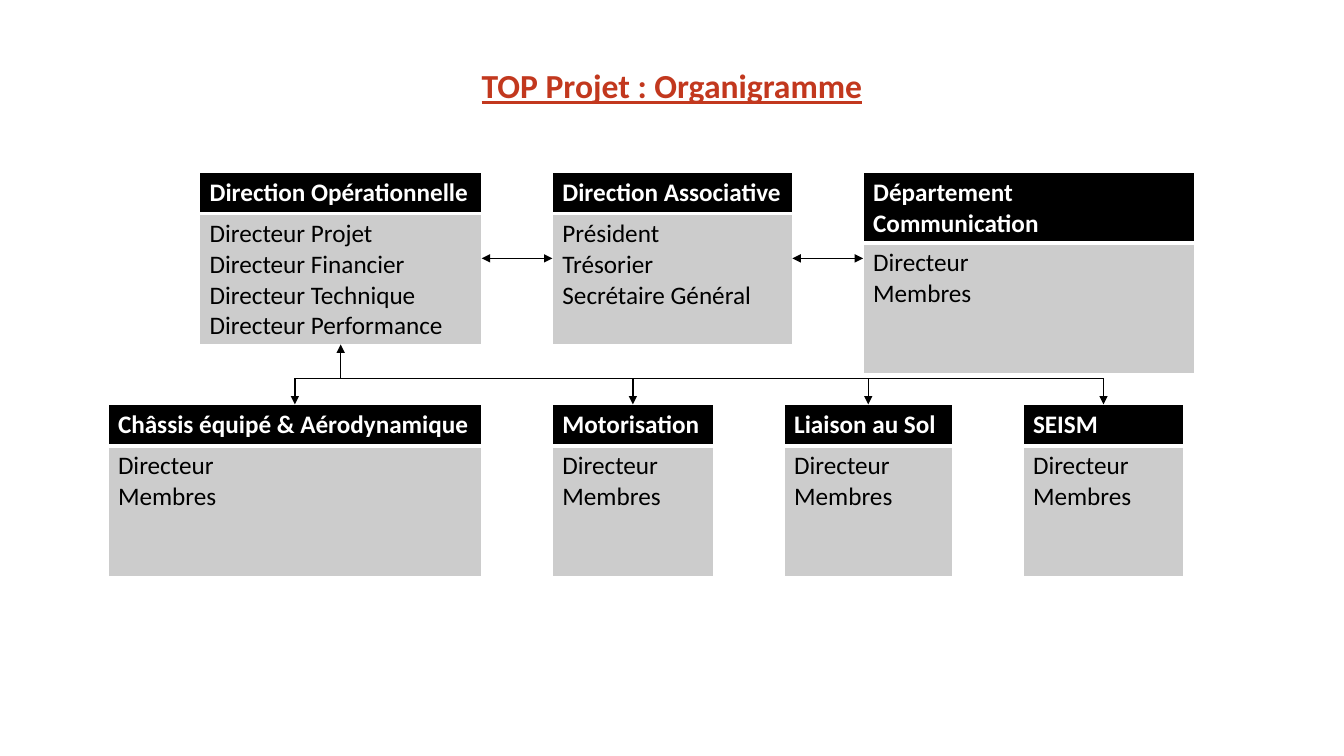
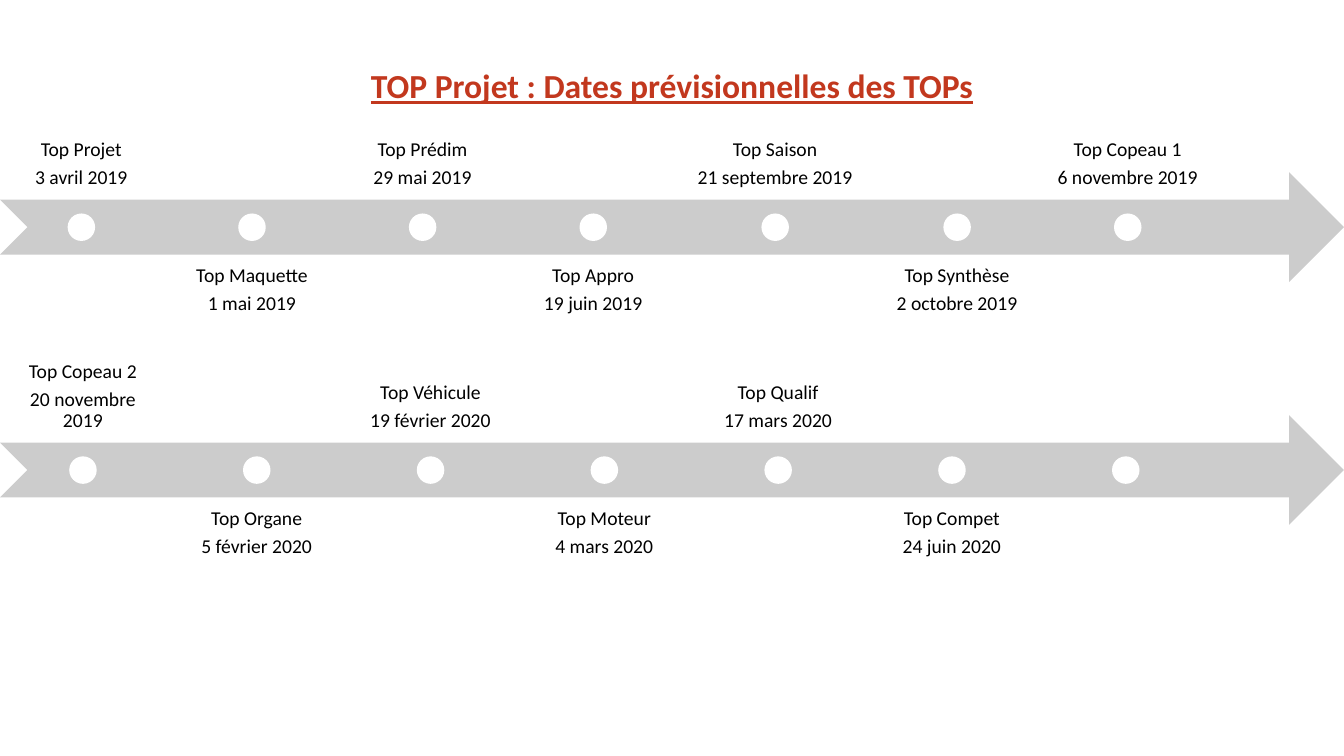
from dataclasses import dataclass

from lxml.etree import SubElement
from pptx import Presentation
from pptx.dml.color import RGBColor
from pptx.enum.shapes import MSO_CONNECTOR, MSO_SHAPE
from pptx.enum.text import MSO_ANCHOR, MSO_AUTO_SIZE, PP_ALIGN
from pptx.oxml.ns import qn
from pptx.presentation import Presentation as Deck
from pptx.shapes.autoshape import Shape
from pptx.slide import Slide
from pptx.table import _Cell as Cell
from pptx.text.text import _Paragraph as Paragraph
from pptx.util import Cm, Pt


@dataclass(frozen=True)
class Theme:
    font: str = "Calibri"
    accent: str = "C2381E"
    dark: str = "000000"
    light: str = "FFFFFF"
    band: str = "CCCCCC"
    title_size: int = 24
    box_size: int = 18
    label_size: int = 14


@dataclass(frozen=True)
class Team:
    name: str
    roles: tuple[str, ...]
    width: float
    header_height: float = 1.04


@dataclass(frozen=True)
class PlacedTeam:
    team: Team
    left: float

    @property
    def right(self) -> float:
        return self.left + self.team.width

    @property
    def center(self) -> float:
        return self.left + self.team.width / 2


@dataclass(frozen=True)
class Milestone:
    name: str
    date: str
    width: float


THEME = Theme()
SLIDE_WIDTH, SLIDE_HEIGHT = 33.87, 19.05

# Organisation chart, in centimetres
TEAM_GAP = 1.78
TEAM_HEIGHT = 4.34
BODY_HEIGHT = 3.3
DIRECTION_LEFT, DIRECTION_TOP = 5.03, 4.34
DEPARTMENT_LEFT, DEPARTMENT_TOP = 2.72, 10.19
BUS_TOP = 9.53

MEMBERS = ("Directeur", "Membres")
DIRECTIONS = (
    Team(
        "Direction Opérationnelle",
        ("Directeur Projet", "Directeur Financier", "Directeur Technique", "Directeur Performance"),
        7.11,
    ),
    Team("Direction Associative", ("Président", "Trésorier", "Secrétaire Général"), 6.05),
    Team("Département\nCommunication", MEMBERS, 8.36, header_height=1.78),
)
DEPARTMENTS = (
    Team("Châssis équipé & Aérodynamique", MEMBERS, 9.42),
    Team("Motorisation", MEMBERS, 4.06),
    Team("Liaison au Sol", MEMBERS, 4.24),
    Team("SEISM", MEMBERS, 4.06),
)

# Timelines, in centimetres
ARROW_HEIGHT = 2.77
DOT_SIZE = ARROW_HEIGHT / 4
LABEL_GAP = 0.2
LABEL_INSET = 0.27
SEASON_START_TOP, SEASON_END_TOP = 4.34, 10.46

SEASON_START = (
    Milestone("Top Projet", "3 avril 2019", 4.1),
    Milestone("Top Maquette", "1 mai 2019", 4.1),
    Milestone("Top Prédim", "29 mai 2019", 4.1),
    Milestone("Top Appro", "19 juin 2019", 4.1),
    Milestone("Top Saison", "21 septembre 2019", 4.67),
    Milestone("Top Synthèse", "2 octobre 2019", 4.1),
    Milestone("Top Copeau 1", "6 novembre 2019", 4.1),
)
SEASON_END = (
    Milestone("Top Copeau 2", "20 novembre 2019", 4.18),
    Milestone("Top Organe", "5 février 2020", 4.18),
    Milestone("Top Véhicule", "19 février 2020", 4.18),
    Milestone("Top Moteur", "4 mars 2020", 4.18),
    Milestone("Top Qualif", "17 mars 2020", 4.18),
    Milestone("Top Compet", "24 juin 2020", 4.18),
    Milestone("", "", 4.18),
)


def color(value: str) -> RGBColor:
    return RGBColor.from_string(value)


def format_runs(para: Paragraph, size: int, ink: str, bold: bool = False) -> None:
    for span in para.runs:
        span.font.name = THEME.font
        span.font.size = Pt(size)
        span.font.bold = bold
        span.font.color.rgb = color(ink)


def add_titled_slide(deck: Deck, text: str) -> Slide:
    page = deck.slides.add_slide(deck.slide_layouts[5])
    title = page.shapes.title
    title.left, title.top = Cm(0), Cm(1.52)
    title.width, title.height = Cm(SLIDE_WIDTH), Cm(1.27)
    title.text_frame.text = text
    title.text_frame.auto_size = MSO_AUTO_SIZE.SHAPE_TO_FIT_TEXT
    para = title.text_frame.paragraphs[0]
    para.alignment = PP_ALIGN.CENTER
    format_runs(para, THEME.title_size, THEME.accent, bold=True)
    para.runs[0].font.underline = True
    return page


# Organisation chart
def style_cell(cell: Cell, fill: str, bottom_border: float) -> None:
    properties = cell._tc.get_or_add_tcPr()
    for side, points in (("L", 1), ("R", 1), ("T", 1), ("B", bottom_border)):
        border = SubElement(properties, qn(f"a:ln{side}"), w=str(Pt(points)))
        SubElement(SubElement(border, qn("a:solidFill")), qn("a:srgbClr"), val=THEME.light)
    cell.fill.solid()
    cell.fill.fore_color.rgb = color(fill)


def add_team(page: Slide, placed: PlacedTeam, top: float) -> None:
    team = placed.team
    height = team.header_height + BODY_HEIGHT
    frame = page.shapes.add_table(2, 1, Cm(placed.left), Cm(top), Cm(team.width), Cm(height))
    table = frame.table
    table.rows[0].height = Cm(team.header_height)
    table.rows[1].height = Cm(BODY_HEIGHT)

    header, body = table.cell(0, 0), table.cell(1, 0)
    style_cell(header, THEME.dark, bottom_border=3)
    header_para = header.text_frame.paragraphs[0]
    header_para.text = team.name
    format_runs(header_para, THEME.box_size, THEME.light, bold=True)

    style_cell(body, THEME.band, bottom_border=1)
    body.text_frame.text = "\n".join(team.roles)
    for para in body.text_frame.paragraphs:
        format_runs(para, THEME.box_size, THEME.dark)


def add_team_row(page: Slide, teams: tuple[Team, ...], left: float, top: float) -> list[PlacedTeam]:
    row = []
    for team in teams:
        placed = PlacedTeam(team, left)
        add_team(page, placed, top)
        row.append(placed)
        left = placed.right + TEAM_GAP
    return row


def add_line(
    page: Slide, start: tuple[float, float], end: tuple[float, float], arrows: tuple[str, ...] = ()
) -> None:
    connector = page.shapes.add_connector(
        MSO_CONNECTOR.STRAIGHT, Cm(start[0]), Cm(start[1]), Cm(end[0]), Cm(end[1])
    )
    connector.line.color.rgb = color(THEME.dark)
    connector.line.width = Pt(1)
    outline = connector.line._get_or_add_ln()
    for arrow in arrows:
        SubElement(outline, qn(f"a:{arrow}"), type="triangle")
    SubElement(connector._element.spPr, qn("a:effectLst"))


def build_organisation(deck: Deck) -> None:
    page = add_titled_slide(deck, "TOP Projet : Organigramme")
    directions = add_team_row(page, DIRECTIONS, DIRECTION_LEFT, DIRECTION_TOP)
    departments = add_team_row(page, DEPARTMENTS, DEPARTMENT_LEFT, DEPARTMENT_TOP)

    # Links between neighbouring directions
    middle = DIRECTION_TOP + TEAM_HEIGHT / 2
    for before, after in zip(directions, directions[1:]):
        add_line(page, (before.right, middle), (after.left, middle), ("headEnd", "tailEnd"))

    # Shared line from the operational direction to every department
    add_line(page, (departments[0].center, BUS_TOP), (departments[-1].center, BUS_TOP))
    for department in departments:
        center = department.center
        add_line(page, (center, BUS_TOP), (center, DEPARTMENT_TOP), ("tailEnd",))
    center = directions[0].center
    add_line(page, (center, BUS_TOP), (center, DIRECTION_TOP + TEAM_HEIGHT), ("tailEnd",))


# Timelines
def add_plain_shape(
    page: Slide, kind: MSO_SHAPE, left: float, top: float, width: float, height: float, fill: str
) -> Shape:
    shape = page.shapes.add_shape(kind, Cm(left), Cm(top), Cm(width), Cm(height))
    shape.shadow.inherit = False
    shape.fill.solid()
    shape.fill.fore_color.rgb = color(fill)
    shape.line.fill.background()
    return shape


def add_label(page: Slide, milestone: Milestone, left: float, top: float, anchor: MSO_ANCHOR) -> None:
    box = page.shapes.add_textbox(Cm(left), Cm(top), Cm(milestone.width), Cm(ARROW_HEIGHT))
    frame = box.text_frame
    frame.word_wrap = True
    frame.vertical_anchor = anchor
    frame.margin_left = frame.margin_right = Cm(LABEL_INSET)
    frame.margin_top = frame.margin_bottom = Cm(LABEL_INSET)
    frame.text = f"{milestone.name}\n{milestone.date}"
    for para in frame.paragraphs:
        para.alignment = PP_ALIGN.CENTER
        para.line_spacing = 0.9
        para.space_after = Pt(5)
        format_runs(para, THEME.label_size, THEME.dark)


def add_timeline(page: Slide, milestones: tuple[Milestone, ...], top: float) -> None:
    add_plain_shape(
        page, MSO_SHAPE.NOTCHED_RIGHT_ARROW, 0, top, SLIDE_WIDTH, ARROW_HEIGHT, THEME.band
    )
    dot_top = top + (ARROW_HEIGHT - DOT_SIZE) / 2
    left = 0.0
    for index, milestone in enumerate(milestones):
        # Labels alternate above and below the arrow
        if milestone.name:
            if index % 2 == 0:
                add_label(page, milestone, left, top - ARROW_HEIGHT * 3 / 4, MSO_ANCHOR.BOTTOM)
            else:
                add_label(page, milestone, left, top + ARROW_HEIGHT * 3 / 4, MSO_ANCHOR.TOP)
        dot_left = left + (milestone.width - DOT_SIZE) / 2
        add_plain_shape(page, MSO_SHAPE.OVAL, dot_left, dot_top, DOT_SIZE, DOT_SIZE, THEME.light)
        left += milestone.width + LABEL_GAP


def build_dates(deck: Deck) -> None:
    page = add_titled_slide(deck, "TOP Projet : Dates prévisionnelles des TOPs")
    add_timeline(page, SEASON_START, SEASON_START_TOP)
    add_timeline(page, SEASON_END, SEASON_END_TOP)


def main() -> None:
    deck = Presentation()
    deck.slide_width, deck.slide_height = Cm(SLIDE_WIDTH), Cm(SLIDE_HEIGHT)
    build_organisation(deck)
    build_dates(deck)
    deck.save("out.pptx")


if __name__ == "__main__":
    main()
